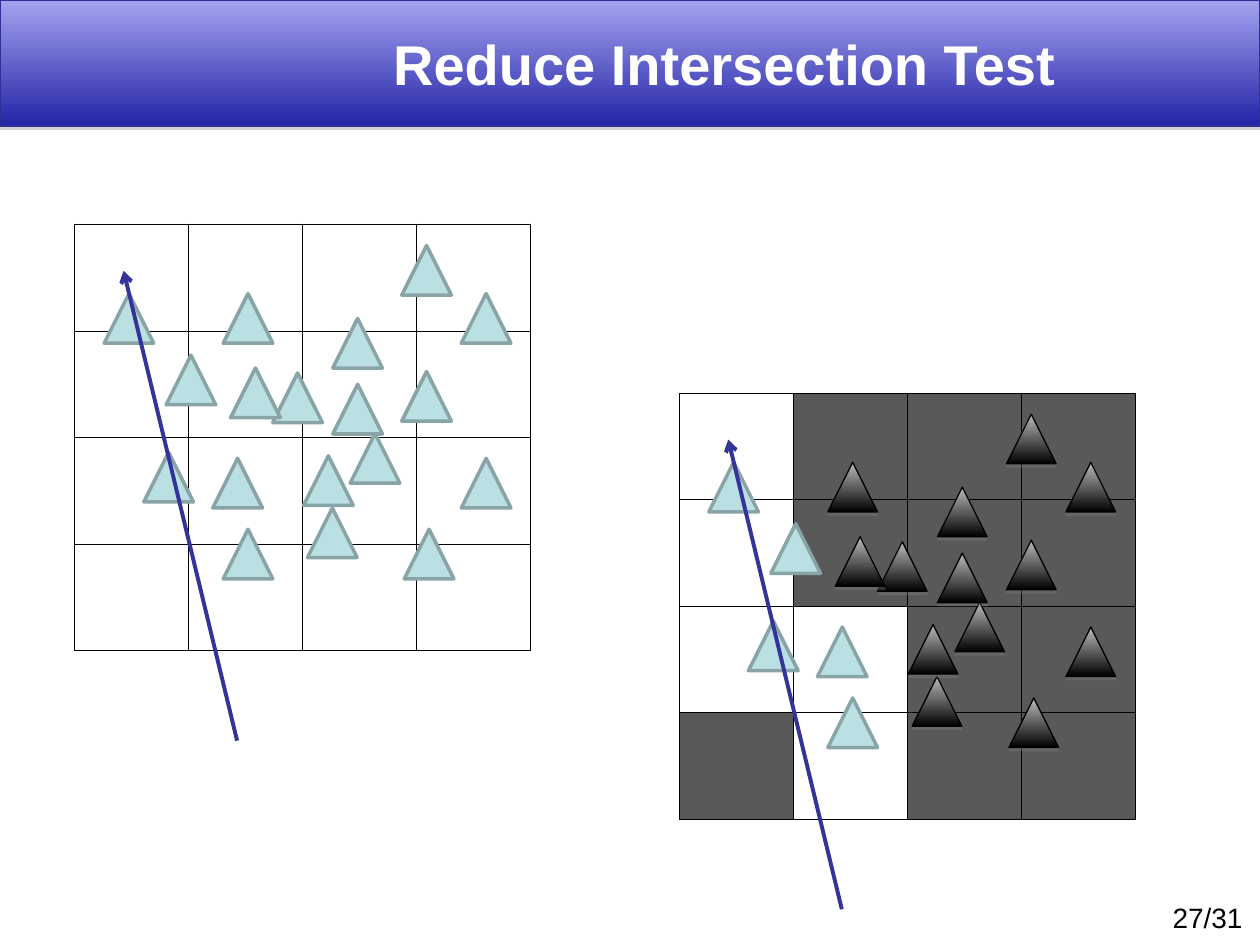
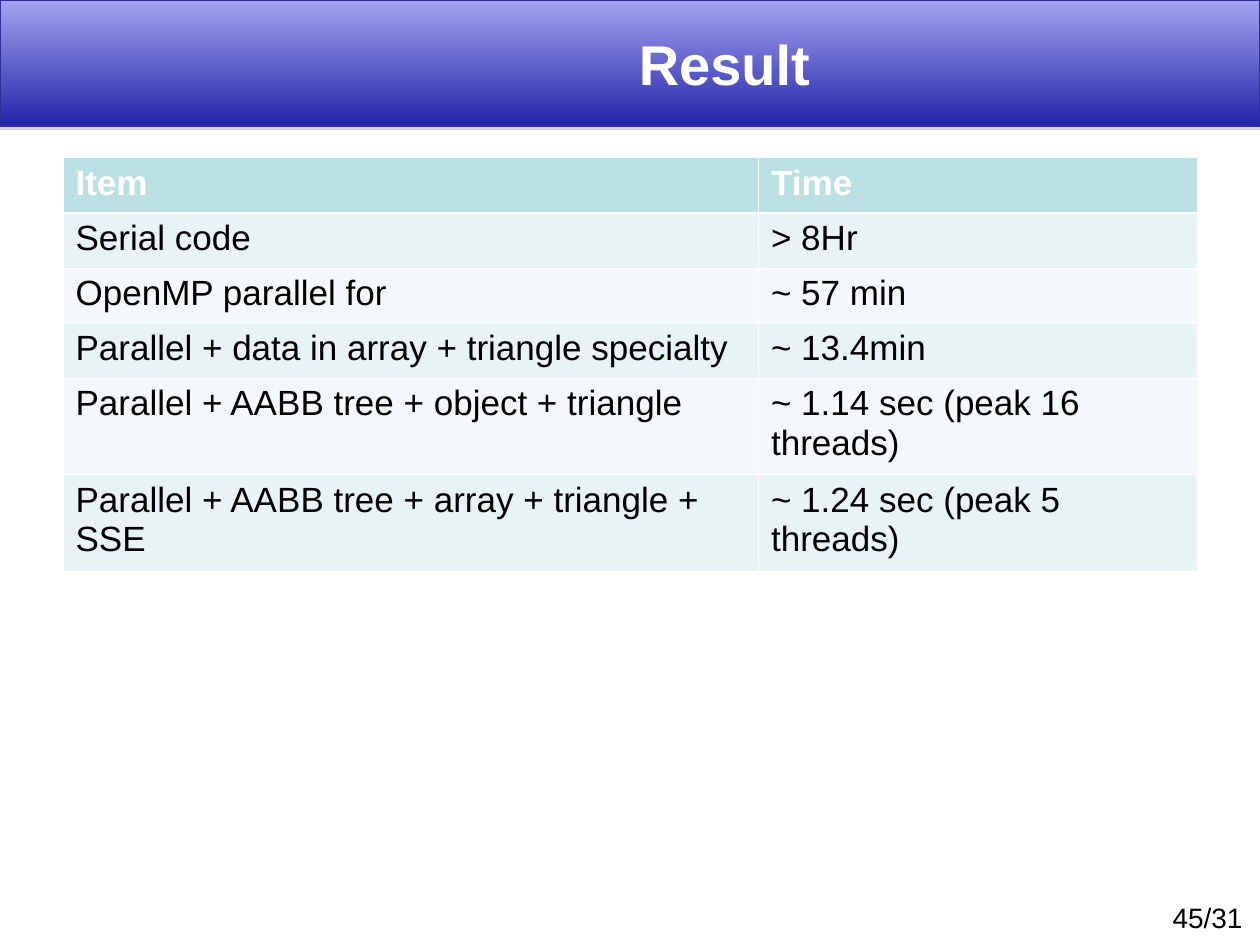
"""Builds two slides on ray tracing: fewer intersection tests, and timings."""
from lxml import etree
from pptx import Presentation
from pptx import util as u
from pptx.dml.color import RGBColor
from pptx.enum import shapes, text
from pptx.oxml import ns

WHITE = RGBColor(0xFF, 0xFF, 0xFF)
BLACK = RGBColor(0, 0, 0)
BAND_TOP = RGBColor(0xA3, 0xA3, 0xEF)
BAND_BOTTOM = RGBColor(0x24, 0x24, 0xA8)
BAND_EDGE = RGBColor(0x2F, 0x2F, 0x98)
RAY = RGBColor(0x33, 0x33, 0x99)
AQUA = RGBColor(0xBB, 0xE0, 0xE3)
AQUA_EDGE = RGBColor(0x89, 0xA4, 0xA7)
ROW_TINTS = (RGBColor(0xF3, 0xF9, 0xFA), RGBColor(0xE7, 0xF3, 0xF4))
SKIPPED_CELL = RGBColor(0x59, 0x59, 0x59)
SKIPPED_TOP = RGBColor(0xBC, 0xBC, 0xBC)
SHADOW = RGBColor(0x80, 0x80, 0x80)

FONT = "Arial"
SLIDE_WIDTH, SLIDE_HEIGHT, BAND_HEIGHT = 25.4, 19.05, 2.54
GRID_SIZE, CELL_WIDTH, CELL_HEIGHT = 4, 2.3, 2.15
TRIANGLE_SIZE = 1
THIN, THICK = 0.45, 1.47

# Positions are in centimetres from the corner of the grid.
TRIANGLES = [
    (3, 1.4), (4, 3), (1.4, 4.6), (0.6, 1.4), (1.85, 2.64), (6.6, 0.43),
    (5.21, 1.9), (6.6, 2.97), (5.56, 4.22), (7.8, 4.72), (4.7, 5.72),
    (2.79, 4.72), (3, 6.15), (3.15, 2.9), (5.21, 3.23), (4.62, 4.67),
    (7.8, 1.4), (6.65, 6.15),
]
TESTED_TRIANGLES = {2, 3, 4, 11, 12}
RAY_START, RAY_END = (3.28, 10.41), (0.99, 0.94)
ALL_OPEN = ["...."] * GRID_SIZE
ONLY_RAY_CELLS = [".###", ".###", "..##", "#.##"]

TIMINGS = [
    ("Item", "Time"),
    ("Serial code", "> 8Hr"),
    ("OpenMP parallel for", "~ 57 min"),
    ("Parallel + data in array + triangle specialty", "~ 13.4min"),
    ("Parallel + AABB tree + object + triangle", "~ 1.14 sec (peak 16 threads)"),
    ("Parallel + AABB tree + array + triangle + SSE", "~ 1.24 sec (peak 5 threads)"),
]
TIMING_WIDTHS = (14.02, 8.84)
TIMING_HEIGHTS = (1.11, 1.11, 1.11, 1.11, 1.95, 1.95)


def add_child(parent, tag, **attributes):
    """Append a drawing element to the parent and return it."""
    return etree.SubElement(parent, ns.qn(tag), attributes)


def style_text(text_frame, size, color, bold=False):
    """Format every run in the text frame."""
    for paragraph in text_frame.paragraphs:
        for run in paragraph.runs:
            font = run.font
            font.name, font.size, font.bold = FONT, u.Pt(size), bold
            font.color.rgb = color


def add_shape(slide, kind, left, top, width, height, edge, edge_width):
    """Add an outlined preset shape without a shadow."""
    shape = slide.shapes.add_shape(kind, *map(u.Cm, (left, top, width, height)))
    shape.shadow.inherit = False
    shape.line.color.rgb = edge
    shape.line.width = u.Pt(edge_width)
    return shape


def shade(shape, top_color, bottom_color):
    """Give the shape a vertical gradient and a short shadow below."""
    shape.fill.gradient()
    shape.fill.gradient_angle = 270
    for stop, color, position in zip(
            shape.fill.gradient_stops, (top_color, bottom_color), (0, 1)):
        stop.color.rgb = color
        stop.position = position
    effects = shape._element.spPr.find(ns.qn("a:effectLst"))
    shadow = add_child(effects, "a:outerShdw", blurRad="0", dist=str(u.Pt(1.8)),
                       dir="5400000", algn="ctr", rotWithShape="0")
    color = add_child(shadow, "a:srgbClr", val=str(SHADOW))
    add_child(color, "a:alpha", val="35000")


def add_text(slide, words, left, top, width, height, size, color, bold=False):
    """Add a text box and return its text frame."""
    box = slide.shapes.add_textbox(*map(u.Cm, (left, top, width, height)))
    box.text_frame.text = words
    style_text(box.text_frame, size, color, bold)
    return box.text_frame


def add_slide(presentation, title, page):
    """Add a blank slide with the title band and page number."""
    slide = presentation.slides.add_slide(presentation.slide_layouts[6])
    band = add_shape(slide, shapes.MSO_SHAPE.RECTANGLE, 0, 0, SLIDE_WIDTH,
                     BAND_HEIGHT, BAND_EDGE, 0.75)
    shade(band, BAND_TOP, BAND_BOTTOM)
    add_text(slide, page, 23.39, 18.03, 2, 1, 16, BLACK)
    frame = add_text(slide, title, 3.81, 0, SLIDE_WIDTH - 3.81, BAND_HEIGHT,
                     32, WHITE, True)
    frame.word_wrap = True
    frame.vertical_anchor = text.MSO_ANCHOR.MIDDLE
    frame.paragraphs[0].alignment = text.PP_ALIGN.CENTER
    return slide


def add_plain_table(slide, left, top, widths, heights):
    """Add a table without banding, sized by its columns and rows."""
    frame = slide.shapes.add_table(len(heights), len(widths), u.Cm(left), u.Cm(top),
                                   u.Cm(sum(widths)), u.Cm(sum(heights)))
    table = frame.table
    table.first_row = table.horz_banding = False
    for column, width in zip(table.columns, widths):
        column.width = u.Cm(width)
    for row, height in zip(table.rows, heights):
        row.height = u.Cm(height)
    return table


def style_cell(cell, fill, border, top=THIN, bottom=THIN):
    """Set the borders and then the fill of a cell; None leaves it open."""
    properties = cell._tc.get_or_add_tcPr()
    for side, width in zip("LRTB", (THIN, THIN, top, bottom)):
        line = add_child(properties, f"a:ln{side}", w=str(u.Pt(width)))
        solid = add_child(line, "a:solidFill")
        add_child(solid, "a:srgbClr", val=str(border))
    if fill is None:
        cell.fill.background()
    else:
        cell.fill.solid()
        cell.fill.fore_color.rgb = fill


def add_triangle(slide, left, top, tested):
    """Add a scene triangle, dark when the ray skips it."""
    edge, width = (AQUA_EDGE, 2) if tested else (BLACK, 0.75)
    triangle = add_shape(slide, shapes.MSO_SHAPE.ISOSCELES_TRIANGLE, left, top,
                         TRIANGLE_SIZE, TRIANGLE_SIZE, edge, width)
    if tested:
        triangle.fill.solid()
        triangle.fill.fore_color.rgb = AQUA
    else:
        shade(triangle, SKIPPED_TOP, BLACK)


def add_ray(slide, left, top):
    """Add the ray arrow that crosses a grid."""
    ends = [u.Cm(offset + corner) for point in (RAY_START, RAY_END)
            for offset, corner in zip(point, (left, top))]
    ray = slide.shapes.add_connector(shapes.MSO_CONNECTOR.STRAIGHT, *ends)
    ray.line.color.rgb = RAY
    ray.line.width = u.Pt(2.25)
    add_child(ray.line._get_or_add_ln(), "a:tailEnd", type="arrow")
    add_child(ray._element.spPr, "a:effectLst")


def add_scene(slide, left, top, cells, tested):
    """Add a grid with its triangles and ray; # marks a skipped cell."""
    table = add_plain_table(slide, left, top, [CELL_WIDTH] * GRID_SIZE,
                            [CELL_HEIGHT] * GRID_SIZE)
    for row, marks in enumerate(cells):
        for column, mark in enumerate(marks):
            fill = SKIPPED_CELL if mark == "#" else None
            style_cell(table.cell(row, column), fill, BLACK)
    for index, (x, y) in enumerate(TRIANGLES):
        add_triangle(slide, left + x, top + y, index in tested)
    add_ray(slide, left, top)


def add_timings(slide):
    """Add the table of run times."""
    table = add_plain_table(slide, 1.27, 3.18, TIMING_WIDTHS, TIMING_HEIGHTS)
    for row, values in enumerate(TIMINGS):
        header = row == 0
        for column, value in enumerate(values):
            cell = table.cell(row, column)
            style_cell(cell, AQUA if header else ROW_TINTS[row % 2], WHITE,
                       top=THICK if row == 1 else THIN,
                       bottom=THICK if header else THIN)
            cell.text_frame.text = value
            style_text(cell.text_frame, 20, WHITE if header else BLACK, header)


def main():
    """Build and save the presentation."""
    presentation = Presentation()
    presentation.slide_width = u.Cm(SLIDE_WIDTH)
    presentation.slide_height = u.Cm(SLIDE_HEIGHT)
    slide = add_slide(presentation, "Reduce Intersection Test", "27/31")
    add_scene(slide, 1.5, 4.52, ALL_OPEN, set(range(len(TRIANGLES))))
    add_scene(slide, 13.69, 7.92, ONLY_RAY_CELLS, TESTED_TRIANGLES)
    add_timings(add_slide(presentation, "Result", "45/31"))
    presentation.save("out.pptx")


if __name__ == "__main__":
    main()
